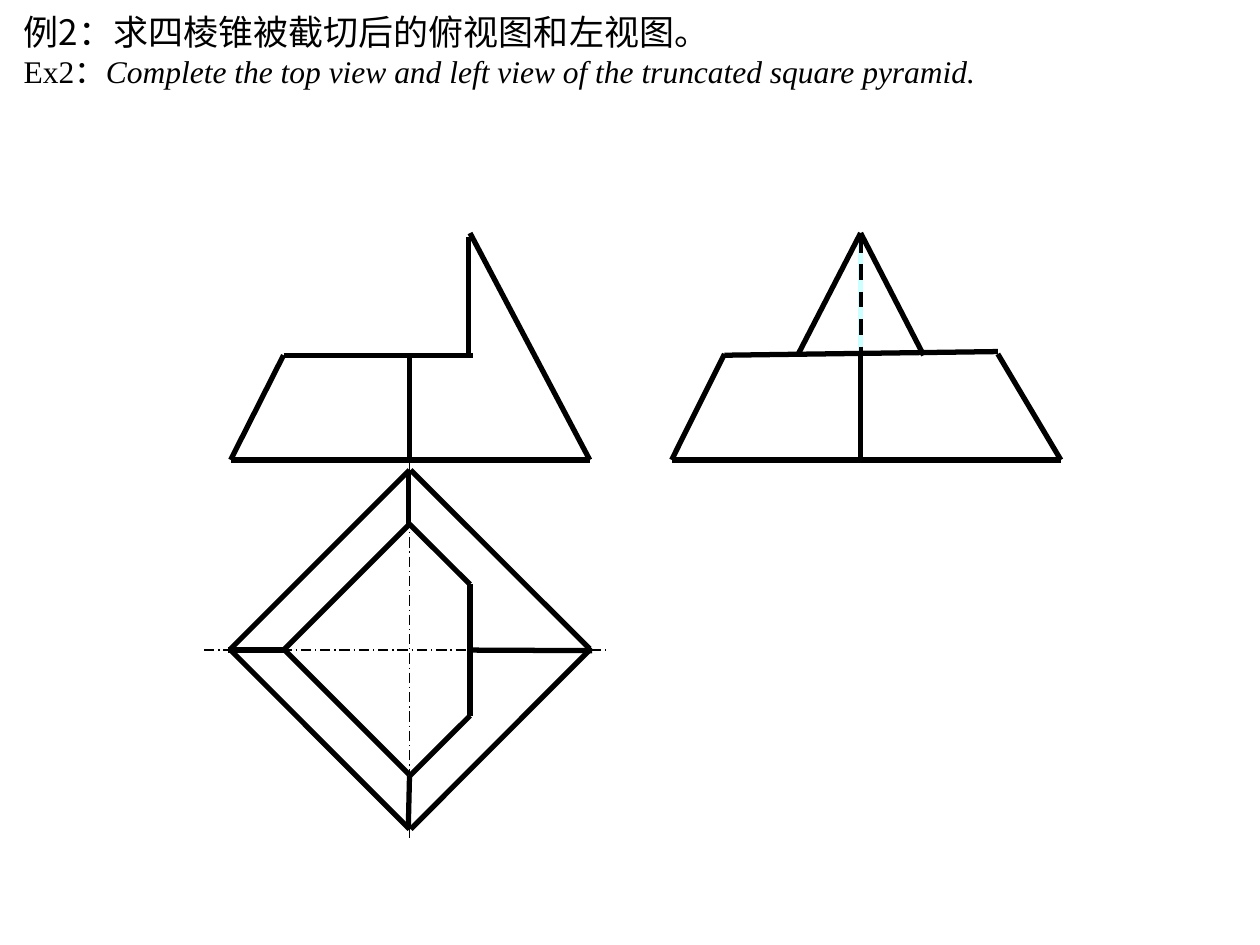
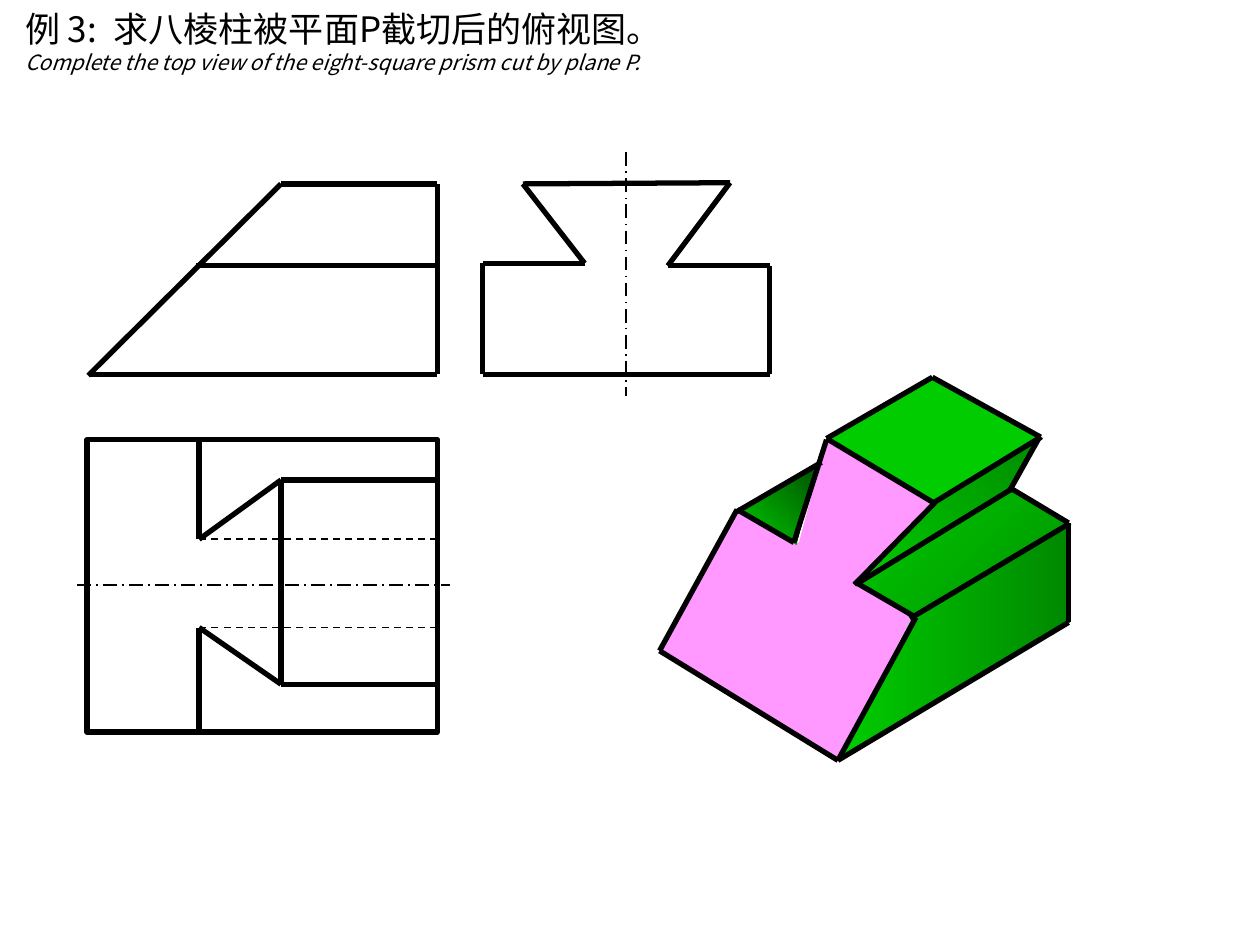
import itertools

import pptx
import pptx.dml.color
import pptx.enum.dml
import pptx.enum.shapes
import pptx.oxml.ns
import pptx.util
from lxml import etree

Pt = pptx.util.Pt
RGBColor = pptx.dml.color.RGBColor
DASH = pptx.enum.dml.MSO_LINE.DASH
AXIS_DASH = pptx.enum.dml.MSO_LINE.LONG_DASH_DOT

BLACK = RGBColor(0x00, 0x00, 0x00)
PALE_CYAN = RGBColor(0xCC, 0xFF, 0xFF)
PINK = RGBColor(0xFF, 0x99, 0xFF)
GREEN = RGBColor(0x00, 0xCC, 0x00)
DARKEST_GREEN = RGBColor(0x00, 0x50, 0x00)
UNDERCUT_GREEN = RGBColor(0x00, 0x8C, 0x00)
SIDE_GREEN = RGBColor(0x00, 0x88, 0x00)
SHOULDER_GREEN = RGBColor(0x00, 0x90, 0x00)

CHINESE_FONT = "Noto Sans CJK SC"
LATIN_FONT = "Times New Roman"
EDGE_WIDTH = 3


class Drawing:
    """Style and current slide of the technical drawings."""

    def __init__(self):
        self.presentation = pptx.Presentation()
        self.presentation.slide_width = Pt(720)
        self.presentation.slide_height = Pt(540)
        self.slide = None

    def new_slide(self):
        layout = self.presentation.slide_layouts[6]
        self.slide = self.presentation.slides.add_slide(layout)

    def set_typeface(self, font, name):
        """Use one typeface for both Latin and Chinese letters."""
        font.name = name
        east_asian = etree.SubElement(font._element, pptx.oxml.ns.qn("a:ea"))
        east_asian.set("typeface", name)

    def heading(self, left, top, width, height, paragraphs):
        """Each paragraph is (size, italic, runs); a run is (text, typeface, italic, spacing)."""
        box = self.slide.shapes.add_textbox(Pt(left), Pt(top), Pt(width), Pt(height))
        frame = box.text_frame
        frame.word_wrap = True
        for index, (size, italic, runs) in enumerate(paragraphs):
            paragraph = frame.add_paragraph() if index else frame.paragraphs[0]
            paragraph.font.size = Pt(size)
            paragraph.font.color.rgb = BLACK
            if italic:
                paragraph.font.italic = True
            for text, typeface, run_italic, spacing in runs:
                run = paragraph.add_run()
                run.text = text
                self.set_typeface(run.font, typeface)
                if run_italic:
                    run.font.italic = True
                if spacing:
                    run.font._element.set("spc", str(spacing * 100))

    def edges(self, *points, width=EDGE_WIDTH, color=BLACK, dash=None):
        """Join consecutive points with straight lines."""
        for (x1, y1), (x2, y2) in itertools.pairwise(points):
            connector = self.slide.shapes.add_connector(
                pptx.enum.shapes.MSO_CONNECTOR.STRAIGHT, Pt(x1), Pt(y1), Pt(x2), Pt(y2))
            connector.line.width = Pt(width)
            connector.line.color.rgb = color
            if dash is not None:
                connector.line.dash_style = dash
            etree.SubElement(connector._element.spPr, pptx.oxml.ns.qn("a:effectLst"))

    def face(self, points, color, end_color=None, angle=0, outline=None):
        """Draw a filled polygon; the gradient angle runs clockwise."""
        corners = [(Pt(x), Pt(y)) for x, y in points]
        builder = self.slide.shapes.build_freeform(*corners[0], scale=1.0)
        builder.add_line_segments(corners[1:], close=True)
        shape = builder.convert_to_shape()
        shape.shadow.inherit = False
        if end_color is None:
            shape.fill.solid()
            shape.fill.fore_color.rgb = color
        else:
            shape.fill.gradient()
            shape.fill.gradient_angle = 360 - angle
            for stop, stop_color in zip(shape.fill.gradient_stops, (color, end_color)):
                stop.color.rgb = stop_color
        if outline:
            shape.line.width = Pt(outline)
            shape.line.color.rgb = BLACK
        else:
            shape.line.fill.background()

    def frame(self, left, top, width, height):
        shape = self.slide.shapes.add_shape(
            pptx.enum.shapes.MSO_SHAPE.RECTANGLE, Pt(left), Pt(top), Pt(width), Pt(height))
        shape.shadow.inherit = False
        shape.fill.background()
        shape.line.width = Pt(EDGE_WIDTH)
        shape.line.color.rgb = BLACK


def draw_pyramid(drawing):
    drawing.new_slide()

    # Axes
    drawing.edges((116.6, 371.5), (347.8, 371.5), width=0.75, dash=AXIS_DASH)
    drawing.edges((234, 262.8), (234, 478.8), width=0.75, dash=AXIS_DASH)

    # Front view
    drawing.edges((337, 262.8), (131.8, 262.8), (162, 203), (270, 203))
    drawing.edges((267.8, 203.8), (267.8, 135.4))
    drawing.edges((268.6, 133.2), (337, 262.8))
    drawing.edges((234, 203), (234, 262.8))

    # Top view: base, cut faces and slanted edges
    drawing.edges((131.8, 370.8), (234, 268.6))
    drawing.edges((131.8, 371.5), (234, 473.8))
    drawing.edges((234.7, 473.8), (336.2, 372.2))
    drawing.edges((337, 370.8), (234.7, 268.6))
    drawing.edges((234, 299.5), (162, 371.5))
    drawing.edges((162, 370.8), (234, 442.8))
    drawing.edges((234, 443.5), (268.6, 409), (268.6, 334), (234, 299.5))
    drawing.edges((130.3, 371.5), (162, 371.5))
    drawing.edges((338.4, 371.8), (268.6, 371.5))
    drawing.edges((234, 443.5), (233.3, 473.8))
    drawing.edges((233.3, 268.6), (233.3, 300.2))

    # Left view
    drawing.edges((414, 202.3), (383.8, 262.8), (606.2, 262.8), (570.2, 202.3))
    drawing.edges((491.8, 202.3), (491.8, 262.8))
    hidden_edge = (491.8, 135.4), (491.8, 202.3)
    drawing.edges(*hidden_edge, color=PALE_CYAN)
    drawing.edges(*hidden_edge, width=2.25, dash=DASH)
    drawing.edges((455.8, 203), (491.8, 133.2), (527.8, 203))
    drawing.edges((414, 203), (570.2, 200.9))

    drawing.heading(6.5, 2.2, 621.4, 53.3, [
        (20, False, [("例2：求四棱锥被截切后的俯视图和左视图。", CHINESE_FONT, False, 0)]),
        (18, False, [
            ("Ex2", LATIN_FONT, False, 0),
            ("：", CHINESE_FONT, False, 0),
            ("Complete the top view and left view of the truncated square pyramid.",
             LATIN_FONT, True, 0),
        ]),
    ])


def draw_prism(drawing):
    drawing.new_slide()

    # Faces of the solid
    drawing.face([(420.5, 292.3), (456.5, 310.3), (472.3, 251.3), (534.2, 287.3),
                  (488.2, 333.4), (523.4, 353.5), (478.1, 435.6), (377.3, 372.2)], PINK)
    drawing.face([(421.9, 292.3), (455, 311), (467.3, 265)], GREEN, DARKEST_GREEN, 315)
    drawing.face([(472.3, 251.3), (534.2, 287.3), (595.4, 250.6), (532.8, 216)],
                 GREEN, outline=1)
    drawing.face([(534.2, 286.6), (488.2, 334.1), (577.4, 280.1), (594.7, 249.1)],
                 GREEN, UNDERCUT_GREEN, 315)
    drawing.face([(522, 352.1), (478.8, 434.9), (612, 355), (612, 299.5)],
                 GREEN, SIDE_GREEN, 0)
    drawing.face([(491, 333.4), (578.2, 279.4), (612, 299.5), (520.6, 352.8)],
                 GREEN, SHOULDER_GREEN, 45)

    # Edges of the solid
    drawing.edges((472.3, 250.6), (532.8, 215.6), (594.7, 249.8), (533.5, 287.3),
                  (472.3, 250.6))
    drawing.edges((478.8, 434.5), (610.6, 355.7), (610.6, 298.8), (578.2, 279.4),
                  (490, 333.4), (523.4, 352.8), (478.8, 434.5), (376.9, 371.9),
                  (421.2, 291.2), (453.6, 310), (472.3, 251.3))
    drawing.edges((610.6, 299.5), (520, 353.5))
    drawing.edges((576.7, 280.8), (594, 249.8))
    drawing.edges((534.2, 287.3), (488.2, 334.1))
    drawing.edges((421.2, 292.3), (469.4, 264.2))

    drawing.heading(7.2, 0.7, 430, 46.1, [
        (20, False, [
            ("例 3:", CHINESE_FONT, False, 0),
            (" ", CHINESE_FONT, False, 5),
            ("求八棱柱被平面P截切后的俯视图。", CHINESE_FONT, False, 0),
        ]),
        (12, True, [("Complete the top view of the eight-square prism cut by plane P.",
                     CHINESE_FONT, False, 0)]),
    ])

    # Left view
    drawing.edges((357.8, 87.1), (357.8, 226.1), width=1, dash=AXIS_DASH)
    drawing.edges((298.8, 105.1), (417.2, 104.4), (381.6, 151.9), (439.9, 151.9),
                  (439.9, 213.8), (275.8, 213.8), (275.8, 150.5), (334.1, 150.5),
                  (298.8, 105.1))

    # Front view
    drawing.edges((51.1, 213.8), (250, 213.8), (250, 105.1), (160.6, 105.1), (50.4, 214.6))
    drawing.edges((250, 151.9), (112.3, 151.9))

    # Top view
    drawing.frame(49.7, 251.3, 200.2, 167)
    drawing.edges((43.9, 334.1), (257, 334.1), width=1, dash=AXIS_DASH)
    for hidden_y in (308.2, 358.6):
        drawing.edges((249.8, hidden_y), (114.5, hidden_y), width=1, dash=DASH)
    drawing.edges((249.8, 274.3), (160.6, 274.3), (160.6, 391), (249.8, 391))
    drawing.edges((113.8, 250.6), (113.8, 308.2), (160.6, 274.3))
    drawing.edges((113.8, 418.3), (113.8, 358.6), (160.6, 391))


def main():
    drawing = Drawing()
    draw_pyramid(drawing)
    draw_prism(drawing)
    drawing.presentation.save("out.pptx")


if __name__ == "__main__":
    main()
